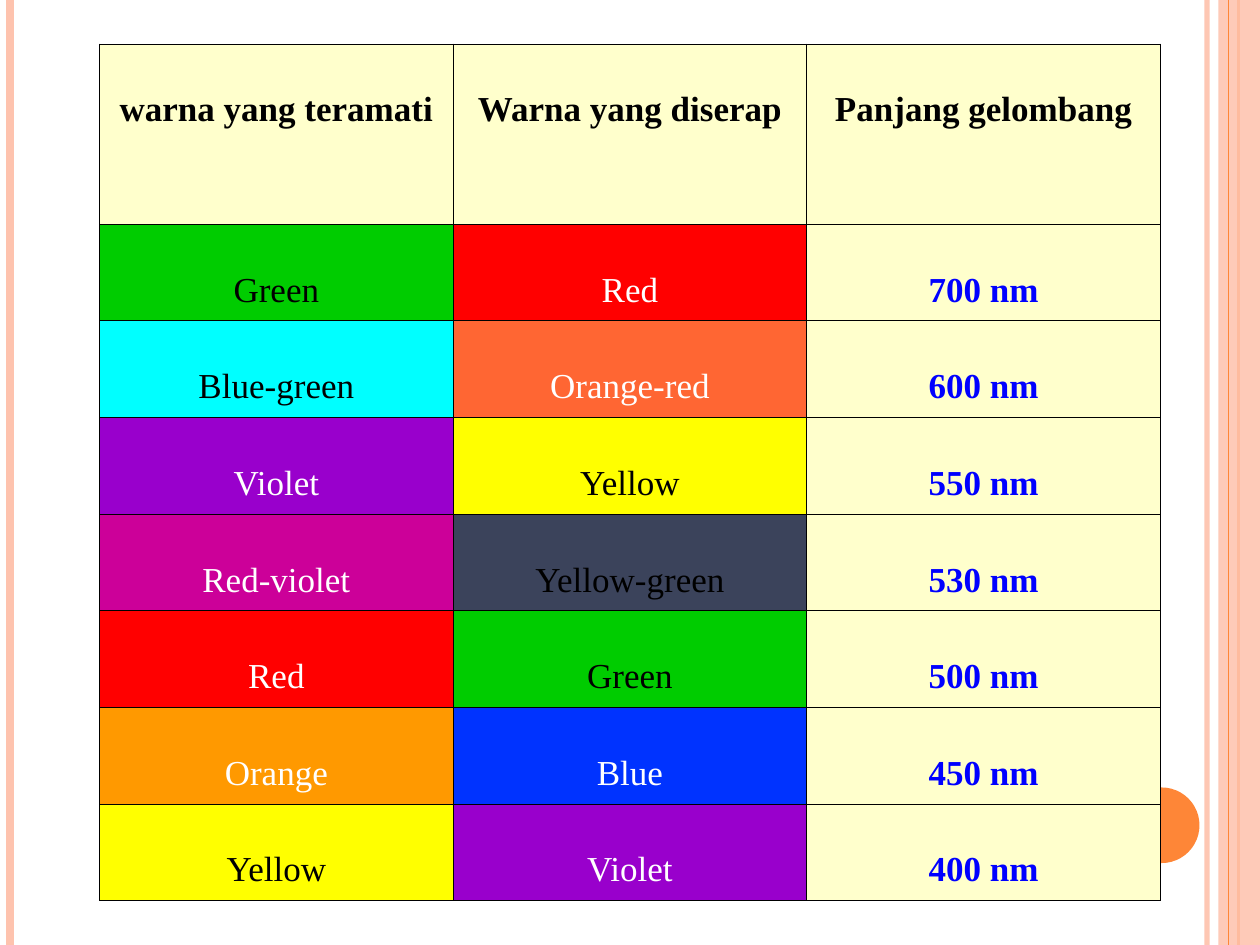
"""Build a slide with a table of observed colours, absorbed colours and wavelengths."""
from lxml import etree
from pptx import Presentation
from pptx.dml.color import RGBColor
from pptx.enum.shapes import MSO_CONNECTOR, MSO_SHAPE
from pptx.enum.text import PP_ALIGN
from pptx.oxml import parse_xml
from pptx.oxml.ns import nsdecls, qn
from pptx.util import Inches, Pt

STRAIGHT = MSO_CONNECTOR.STRAIGHT
RECT, OVAL = MSO_SHAPE.RECTANGLE, MSO_SHAPE.OVAL
CENTER = PP_ALIGN.CENTER

COLORS = {
    "peach": "FEC3AE", "accent": "FE8637", "cream": "FFFFCC",
    "black": "000000", "white": "FFFFFF", "navy": "0000FF",
    "Green": "00CC00", "Red": "FF0000", "Blue-green": "00FFFF",
    "Orange-red": "FF6633", "Violet": "9900CC", "Yellow": "FFFF00",
    "Red-violet": "CC0099", "Yellow-green": "3B435B",
    "Orange": "FF9900", "Blue": "0033FF",
}
DARK_TEXT = {"Green", "Blue-green", "Yellow", "Yellow-green"}
HEADERS = ["warna yang teramati", "Warna yang diserap", "Panjang gelombang"]
ROWS = [
    ("Green", "Red", "700 nm"),
    ("Blue-green", "Orange-red", "600 nm"),
    ("Violet", "Yellow", "550 nm"),
    ("Red-violet", "Yellow-green", "530 nm"),
    ("Red", "Green", "500 nm"),
    ("Orange", "Blue", "450 nm"),
    ("Yellow", "Violet", "400 nm"),
]
MARGINS = {"margin_top": Inches(0.37), "margin_bottom": Inches(0.05),
           "margin_left": Inches(0.1), "margin_right": Inches(0.1)}
FONT = {"name": "Times New Roman", "size": Pt(20)}


def set_alpha(sp, percent):
    color = sp._element.spPr.find(".//" + qn("a:srgbClr"))
    etree.SubElement(color, qn("a:alpha")).set("val", str(percent * 1000))


def add_stripe(x, color, width, alpha=100):
    sp = s.shapes.add_connector(STRAIGHT, Inches(x), 0, Inches(x), prs.slide_height)
    sp.line.color.rgb = RGBColor.from_string(COLORS[color])
    sp.line.width = Pt(width)
    etree.SubElement(sp._element.spPr, qn("a:effectLst"))
    if alpha < 100:
        set_alpha(sp, alpha)


prs = Presentation()
prs.slide_width, prs.slide_height = Inches(10), Inches(7.5)
s = prs.slides.add_slide(prs.slide_layouts[6])

add_stripe(9.58, "peach", 3, 93)
add_stripe(0.08, "peach", 4.5)
add_stripe(9.83, "accent", 1.5)
for kind, box, color, alpha in [
    (RECT, (9.67, 0, 0.33, 7.5), "peach", 87),
    (OVAL, (8.92, 6.25, 0.6, 0.6), "accent", 100),
]:
    sp = s.shapes.add_shape(kind, *map(Inches, box))
    sp.shadow.inherit = False
    sp.fill.solid()
    sp.fill.fore_color.rgb = RGBColor.from_string(COLORS[color])
    sp.line.fill.background()
    if alpha < 100:
        set_alpha(sp, alpha)
    if kind == RECT:
        add_stripe(9.75, "accent", 0.75)

table = s.shapes.add_table(len(ROWS) + 1, len(HEADERS), Inches(0.79), Inches(0.35),
                           Inches(8.42), Inches(6.8)).table
table.first_row = table.horz_banding = False
header_height = Inches(1.43)
for i, row in enumerate(table.rows):
    row.height = (Inches(6.8) - header_height) // len(ROWS) if i else header_height

for i, values in enumerate([HEADERS, *ROWS]):
    for j, text in enumerate(values):
        cell = table.cell(i, j)
        for name, value in MARGINS.items():
            setattr(cell, name, value)
        tcPr = cell._tc.get_or_add_tcPr()
        for side in ("lnL", "lnR", "lnT", "lnB"):
            tcPr.append(parse_xml(
                f'<a:{side} {nsdecls("a")} w="{Pt(0.75)}"><a:solidFill>'
                f'<a:srgbClr val="{COLORS["black"]}"/></a:solidFill></a:{side}>'))
        cell.fill.solid()
        cell.fill.fore_color.rgb = RGBColor.from_string(COLORS.get(text, COLORS["cream"]))

        if i == 0 or text in DARK_TEXT:
            color = "black"
        else:
            color = "navy" if j == 2 else "white"
        p = cell.text_frame.paragraphs[0]
        p.alignment = CENTER
        r = p.add_run()
        r.text = text
        r.font.color.rgb = RGBColor.from_string(COLORS[color])
        for name, value in {**FONT, "bold": i == 0 or j == 2}.items():
            setattr(r.font, name, value)

prs.save("out.pptx")
